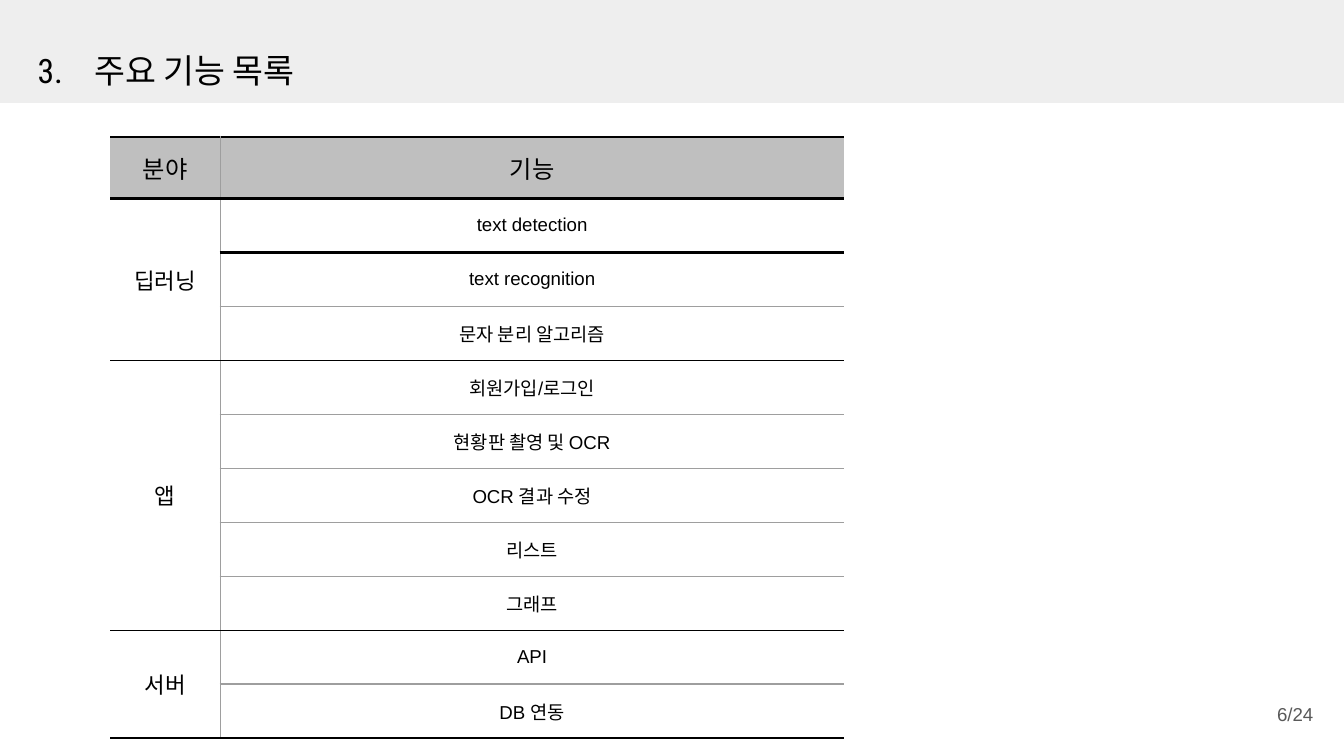
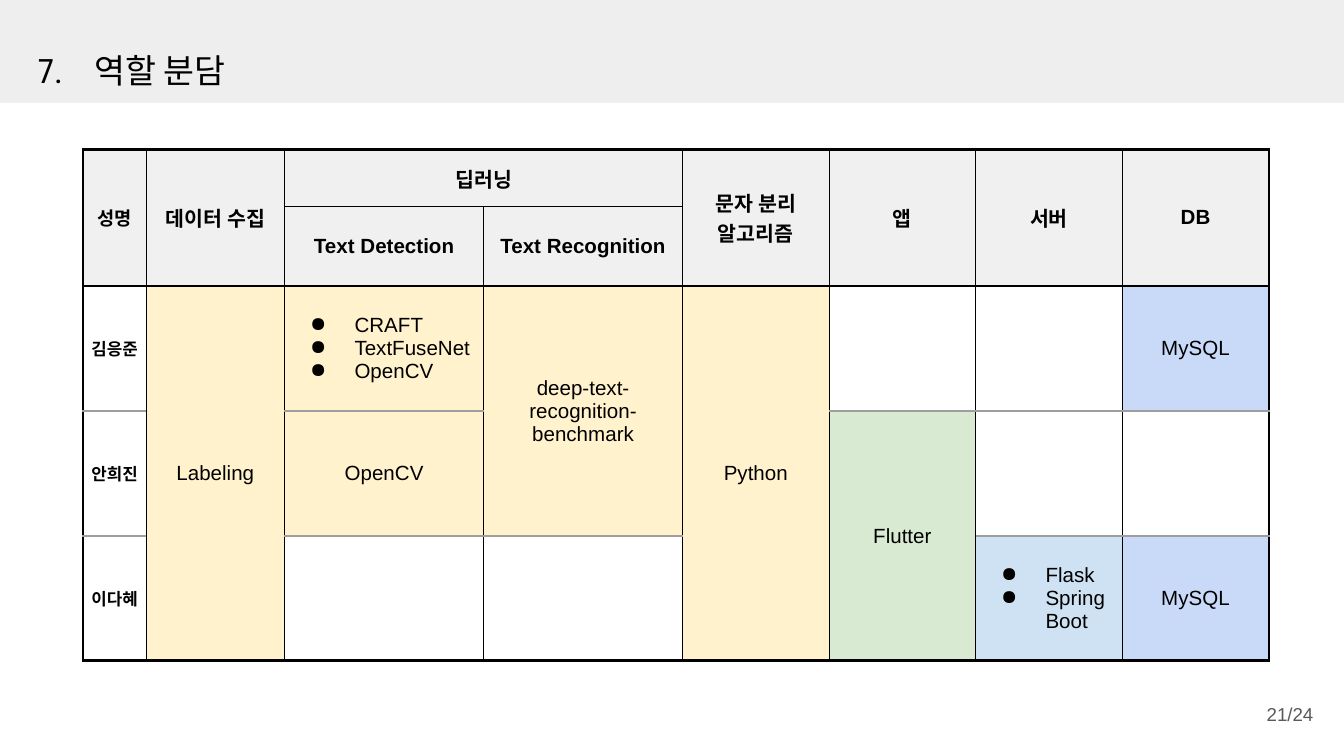
import dataclasses

import pptx
import pptx.dml.color
import pptx.enum.shapes
import pptx.enum.text
import pptx.oxml
import pptx.oxml.ns
import pptx.util

Cm = pptx.util.Cm
Pt = pptx.util.Pt
RGBColor = pptx.dml.color.RGBColor
ALIGN = pptx.enum.text.PP_ALIGN
MIDDLE = pptx.enum.text.MSO_ANCHOR.MIDDLE
NAMESPACE = pptx.oxml.ns.nsdecls("a")
SIDES = ("left", "top", "right", "bottom")

BLACK = RGBColor(0x00, 0x00, 0x00)
WHITE = RGBColor(0xFF, 0xFF, 0xFF)
BAND_GRAY = RGBColor(0xEE, 0xEE, 0xEE)
HEAD_GRAY = RGBColor(0xBF, 0xBF, 0xBF)
PALE_GRAY = RGBColor(0xF0, 0xF0, 0xF0)
RULE_GRAY = RGBColor(0x9E, 0x9E, 0x9E)
PAGE_GRAY = RGBColor(0x59, 0x59, 0x59)
CREAM = RGBColor(0xFF, 0xF2, 0xCC)
GREEN = RGBColor(0xD9, 0xEA, 0xD3)
SKY = RGBColor(0xCF, 0xE2, 0xF3)
BLUE = RGBColor(0xC9, 0xDA, 0xF8)

THIN_GRAY = (RULE_GRAY, 0.75)
THIN_BLACK = (BLACK, 0.75)
THICK_BLACK = (BLACK, 1.5)
HEAVY_BLACK = (BLACK, 1.7)
HAIRLINE = (BLACK, 0.28)


@dataclasses.dataclass
class Entry:
    text: str
    size: float
    fill: RGBColor = WHITE
    span: tuple = (1, 1)
    bold: bool = False
    bulleted: bool = False


def apply_format(target, values):
    for attribute, value in values.items():
        setattr(target, attribute, value)


def add_property(paragraph, xml):
    """Append a bullet or tab element to the paragraph properties."""
    holder = pptx.oxml.parse_xml(f"<a:pPr {NAMESPACE}>{xml}</a:pPr>")
    paragraph._p.get_or_add_pPr().append(holder[0])


def set_border(cell, side, rule):
    if rule:
        color, width = rule
        paint = f'<a:solidFill><a:srgbClr val="{color}"/></a:solidFill>'
    else:
        width, paint = 0, "<a:noFill/>"
    cell._tc.get_or_add_tcPr().append(pptx.oxml.parse_xml(
        f'<a:ln{side} {NAMESPACE} w="{int(Pt(width))}">{paint}</a:ln{side}>'))


class Deck:
    title_font = "Roboto Condensed"
    text_font = "Arial"
    page_total = 24

    def __init__(self):
        self.presentation = pptx.Presentation()
        self.presentation.slide_width = Cm(25.4)
        self.presentation.slide_height = Cm(14.29)
        self.slide = None

    def start_slide(self, number, heading, page):
        self.slide = self.presentation.slides.add_slide(self.presentation.slide_layouts[5])
        self.band()
        self.title(number, heading)
        self.page_number(page)

    def band(self):
        band = self.slide.shapes.add_shape(pptx.enum.shapes.MSO_SHAPE.RECTANGLE,
                                           0, 0, Cm(25.4), Cm(1.93))
        band.shadow.inherit = False
        band.fill.solid()
        band.fill.fore_color.rgb = BAND_GRAY
        band.line.color.rgb = BAND_GRAY
        band.line.width = Pt(0.75)

    def title(self, number, heading):
        title = self.slide.shapes.title
        self.slide.shapes._spTree.append(title._element)  # in front of the band
        apply_format(title, {"left": Cm(0.46), "top": Cm(0.33),
                             "width": Cm(23.67), "height": Cm(1.6)})
        self.frame(title.text_frame, 0.25)
        paragraph = title.text_frame.paragraphs[0]
        add_property(paragraph,
                     f'<a:tabLst><a:tab pos="{int(Cm(1.07))}" algn="l"/></a:tabLst>')
        self.add_text(paragraph, f"{number}.\t{heading}", 18, ALIGN.LEFT,
                      font=self.title_font)
        apply_format(paragraph, {"line_spacing": 1.5, "space_after": Pt(12)})

    def page_number(self, page):
        box = self.slide.shapes.add_textbox(Cm(23.55), Cm(12.95), Cm(1.52), Cm(1.09))
        self.frame(box.text_frame, 0.25)
        self.add_text(box.text_frame.paragraphs[0], f"{page}/{self.page_total}", 10,
                      ALIGN.RIGHT, color=PAGE_GRAY)

    def frame(self, frame, inset):
        apply_format(frame, {"word_wrap": True, "vertical_anchor": MIDDLE,
                             "auto_size": pptx.enum.text.MSO_AUTO_SIZE.NONE})
        self.set_margins(frame, inset)

    def set_margins(self, target, inset):
        apply_format(target, {f"margin_{side}": Cm(inset) for side in SIDES})

    def add_text(self, paragraph, text, size, alignment, color=BLACK, bold=False, font=None):
        paragraph.alignment = alignment
        run = paragraph.add_run()
        run.text = text
        apply_format(run.font, {"name": font or self.text_font, "size": Pt(size),
                                "bold": bold})
        run.font.color.rgb = color

    def table(self, corner, widths, heights, entries, horizontal, vertical, inset):
        """Fill a grid; horizontal and vertical give the rule at each grid line."""
        left, top = corner
        table = self.slide.shapes.add_table(
            len(heights), len(widths), Cm(left), Cm(top),
            Cm(sum(widths)), Cm(sum(heights))).table
        apply_format(table, {"first_row": False, "horz_banding": False})
        for column, width in zip(table.columns, widths):
            column.width = Cm(width)
        for row, height in zip(table.rows, heights):
            row.height = Cm(height)
        for (r, c), entry in entries.items():
            if entry.span != (1, 1):
                rows, columns = entry.span
                table.cell(r, c).merge(table.cell(r + rows - 1, c + columns - 1))
        for r in range(len(heights)):
            for c in range(len(widths)):
                cell = table.cell(r, c)
                if not cell.is_spanned:
                    rules = {"L": vertical(c), "R": vertical(c + cell.span_width),
                             "T": horizontal(r), "B": horizontal(r + cell.span_height)}
                    for side, rule in rules.items():
                        set_border(cell, side, rule)
                    self.fill_cell(cell, entries.get((r, c)), inset)

    def fill_cell(self, cell, entry, inset):
        cell.vertical_anchor = MIDDLE
        self.set_margins(cell, inset)
        cell.fill.solid()
        cell.fill.fore_color.rgb = entry.fill if entry else WHITE
        if not entry:
            return
        frame = cell.text_frame
        for index, line in enumerate(entry.text.split("\n")):
            paragraph = frame.add_paragraph() if index else frame.paragraphs[0]
            if entry.bulleted:
                properties = paragraph._p.get_or_add_pPr()
                properties.set("marL", str(int(Cm(1.27))))
                properties.set("indent", str(int(Cm(-0.84))))
                add_property(paragraph, '<a:buChar char="●"/>')
            self.add_text(paragraph, line, entry.size,
                          ALIGN.LEFT if entry.bulleted else ALIGN.CENTER, bold=entry.bold)


def feature_slide(deck):
    deck.start_slide(3, "주요 기능 목록", 6)
    features = {
        "딥러닝": ["text detection", "text recognition", "문자 분리 알고리즘"],
        "앱": ["회원가입/로그인", "현황판 촬영 및 OCR", "OCR 결과 수정", "리스트", "그래프"],
        "서버": ["API", "DB 연동"],
    }
    entries = {(0, 0): Entry("분야", 13, HEAD_GRAY), (0, 1): Entry("기능", 13, HEAD_GRAY)}
    row = 1
    for field, names in features.items():
        entries[row, 0] = Entry(field, 12, span=(len(names), 1))
        for name in names:
            entries[row, 1] = Entry(name, 10)
            row += 1
    rules = {0: THICK_BLACK, 1: THICK_BLACK, 2: THICK_BLACK,
             4: THIN_BLACK, 9: THIN_BLACK, row: THICK_BLACK}
    deck.table((2.08, 2.59), [2.08, 11.79], [1.12] + [1.02] * (row - 1), entries,
               horizontal=lambda line: rules.get(line, THIN_GRAY),
               vertical=lambda line: THIN_GRAY if line == 1 else None, inset=0.25)


def role_slide(deck):
    deck.start_slide(7, "역할 분담", 21)
    entries = {
        (0, 2): Entry("딥러닝", 11, PALE_GRAY, (1, 2), bold=True),
        (1, 2): Entry("Text Detection", 11, PALE_GRAY, bold=True),
        (1, 3): Entry("Text Recognition", 11, PALE_GRAY, bold=True),
        (2, 1): Entry("Labeling", 11, CREAM, (3, 1)),
        (2, 2): Entry("CRAFT\nTextFuseNet\nOpenCV", 11, CREAM, bulleted=True),
        (2, 3): Entry("deep-text-recognition-benchmark", 11, CREAM, (2, 1)),
        (2, 4): Entry("Python", 11, CREAM, (3, 1)),
        (2, 7): Entry("MySQL", 11, BLUE),
        (3, 2): Entry("OpenCV", 11, CREAM),
        (3, 5): Entry("Flutter", 11, GREEN, (2, 1)),
        (4, 6): Entry("Flask\nSpring Boot", 11, SKY, bulleted=True),
        (4, 7): Entry("MySQL", 11, BLUE),
    }
    tall_heads = {0: "성명", 1: "데이터 수집", 4: "문자 분리\n알고리즘",
                  5: "앱", 6: "서버", 7: "DB"}
    for column, head in tall_heads.items():
        entries[0, column] = Entry(head, 11 if column else 10, PALE_GRAY, (2, 1), bold=True)
    for row, member in enumerate(["김응준", "안희진", "이다혜"], start=2):
        entries[row, 0] = Entry(member, 9, bold=True)
    rules = {0: HEAVY_BLACK, 1: THIN_BLACK, 2: THICK_BLACK, 5: HEAVY_BLACK}
    deck.table((1.57, 2.82), [1.19, 2.62] + [3.76] * 2 + [2.77] * 4,
               [1.09, 1.5] + [2.36] * 3, entries,
               horizontal=lambda line: rules.get(line, THIN_GRAY),
               vertical=lambda line: THICK_BLACK if line in (0, 8) else HAIRLINE,
               inset=0.05)


def main():
    deck = Deck()
    feature_slide(deck)
    role_slide(deck)
    deck.presentation.save("out.pptx")


if __name__ == "__main__":
    main()
